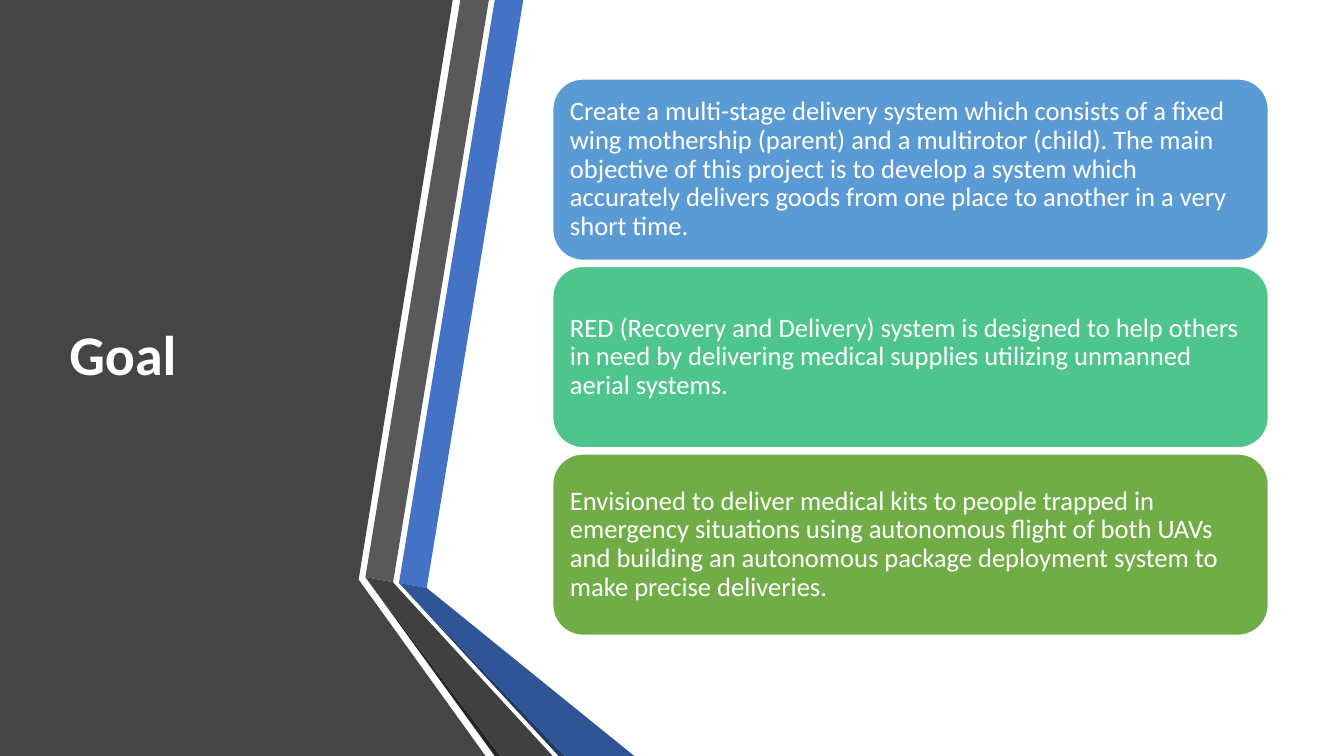
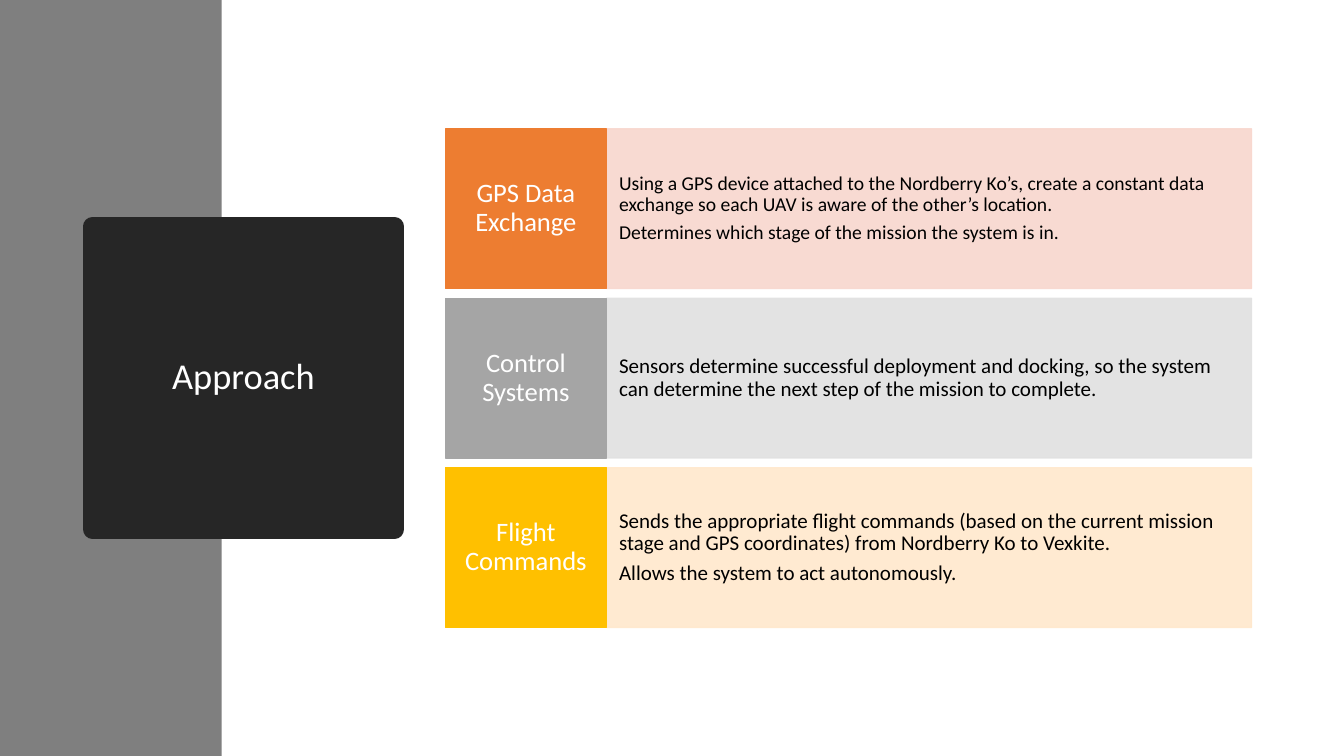
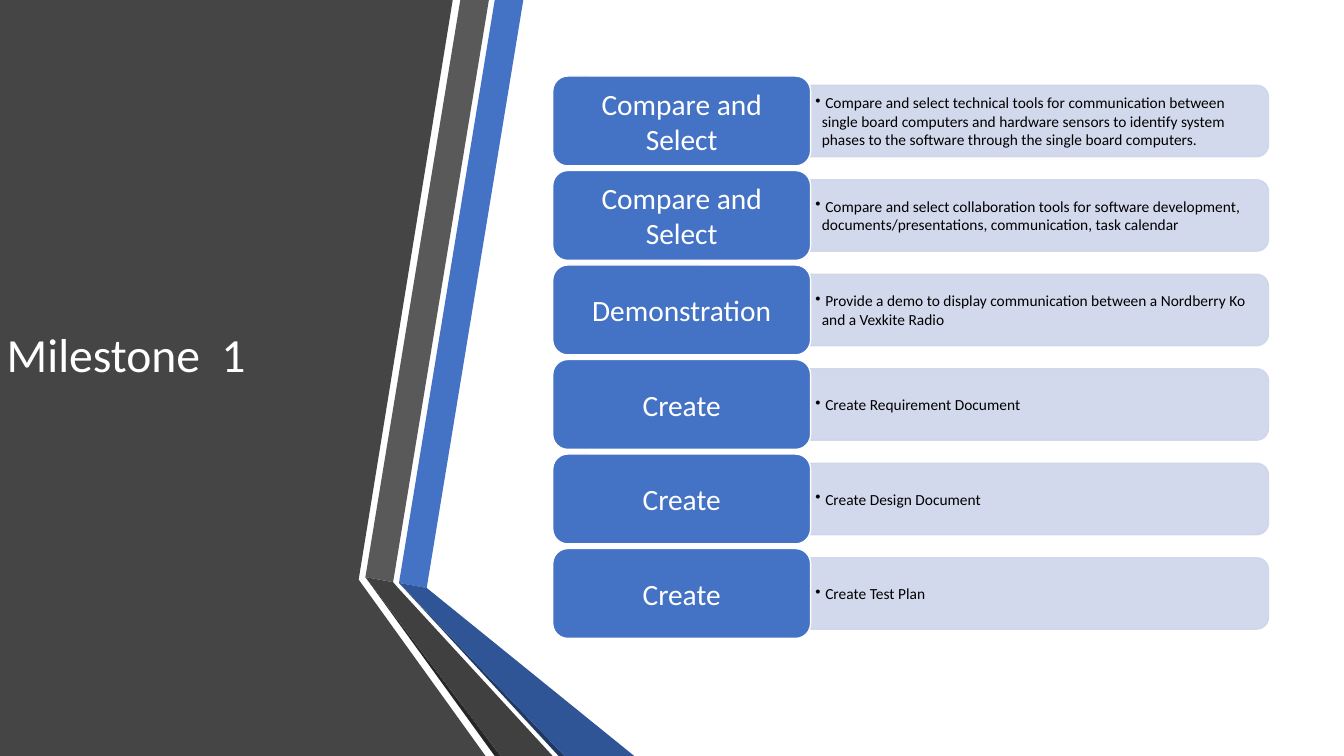
from dataclasses import dataclass

from lxml import etree
from pptx import Presentation
from pptx.dml.color import RGBColor
from pptx.enum.shapes import MSO_SHAPE
from pptx.enum.text import MSO_ANCHOR, PP_ALIGN
from pptx.oxml.ns import qn
from pptx.shapes.autoshape import Shape
from pptx.slide import Slide
from pptx.util import Inches, Pt

RECTANGLE = MSO_SHAPE.RECTANGLE
ROUNDED = MSO_SHAPE.ROUNDED_RECTANGLE
TOP_ROUNDED = MSO_SHAPE.ROUND_2_SAME_RECTANGLE
MIDDLE = MSO_ANCHOR.MIDDLE
LEFT, CENTER = PP_ALIGN.LEFT, PP_ALIGN.CENTER

# Slide grid: 160 columns by 90 rows of square cells
SLIDE_WIDTH, SLIDE_HEIGHT = Inches(13.33), Inches(7.5)
COLUMNS, ROWS = 160, 90
COLUMN, ROW = SLIDE_WIDTH / COLUMNS, SLIDE_HEIGHT / ROWS

# Colours
WHITE = RGBColor(0xFF, 0xFF, 0xFF)
BLACK = RGBColor(0x00, 0x00, 0x00)
PANEL_GRAY = RGBColor(0x45, 0x45, 0x45)
STRIPE_GRAY = RGBColor(0x59, 0x59, 0x59)
FOLD_GRAY = RGBColor(0x40, 0x40, 0x40)
NEAR_BLACK = RGBColor(0x26, 0x26, 0x26)
BAND_GRAY = RGBColor(0x7F, 0x7F, 0x7F)
BLUE = RGBColor(0x44, 0x72, 0xC4)
FOLD_BLUE = RGBColor(0x2F, 0x55, 0x97)
NAVY = RGBColor(0x20, 0x38, 0x64)
PALE_BLUE = RGBColor(0xCF, 0xD5, 0xEA)
SKY = RGBColor(0x5B, 0x9B, 0xD5)
MINT = RGBColor(0x4D, 0xC5, 0x8D)
GREEN = RGBColor(0x70, 0xAD, 0x47)
ORANGE = RGBColor(0xED, 0x7D, 0x31)
PALE_ORANGE = RGBColor(0xF8, 0xD7, 0xCE)
SILVER = RGBColor(0xA5, 0xA5, 0xA5)
PALE_SILVER = RGBColor(0xE1, 0xE1, 0xE1)
GOLD = RGBColor(0xFF, 0xC0, 0x00)
PALE_GOLD = RGBColor(0xFF, 0xE8, 0xCC)

FONT = "Calibri"
BULLET_INDENT = Pt(4.5)
DETAIL_OPACITY = 90


@dataclass(frozen=True)
class Cell:
    """An area of the slide, in columns and rows."""
    left: float
    top: float
    width: float
    height: float

    def right_of(self, width: float, height: float) -> "Cell":
        """A vertically centred neighbour on the right."""
        top = self.top + (self.height - height) / 2
        return Cell(self.left + self.width, top, width, height)

    def below(self, index: int, pitch: float) -> "Cell":
        return Cell(self.left, self.top + index * pitch, self.width, self.height)


@dataclass(frozen=True)
class TextStyle:
    size: float
    color: RGBColor = WHITE
    align: PP_ALIGN = LEFT
    bold: bool = False
    line_spacing: float = 0.9
    inset_x: float = 6
    inset_y: float = 3
    bullet: bool = False


@dataclass(frozen=True)
class Facet:
    color: RGBColor
    points: tuple[tuple[float, float], ...]


@dataclass(frozen=True)
class GoalCard:
    color: RGBColor
    text: str


@dataclass(frozen=True)
class ApproachRow:
    color: RGBColor
    tint: RGBColor
    label: str
    size: float
    details: tuple[str, ...]


@dataclass(frozen=True)
class MilestoneRow:
    label: str
    detail: str


# Shared helpers
def place(cell: Cell) -> tuple[int, int, int, int]:
    return (round(cell.left * COLUMN), round(cell.top * ROW),
            round(cell.width * COLUMN), round(cell.height * ROW))


def write(shape: Shape, style: TextStyle, *lines: str) -> None:
    frame = shape.text_frame
    frame.word_wrap = True
    frame.vertical_anchor = MIDDLE
    frame.margin_left = frame.margin_right = Pt(style.inset_x)
    frame.margin_top = frame.margin_bottom = Pt(style.inset_y)
    frame.text = "\n".join(lines)
    for paragraph in frame.paragraphs:
        paragraph.alignment = style.align
        paragraph.line_spacing = style.line_spacing
        paragraph.space_after = Pt(round(style.size * 0.35))
        for run in paragraph.runs:
            run.font.name = FONT
            run.font.size = Pt(style.size)
            run.font.bold = style.bold
            run.font.color.rgb = style.color
        if style.bullet:
            properties = paragraph._p.get_or_add_pPr()
            properties.set("marL", str(BULLET_INDENT))
            properties.set("indent", str(-BULLET_INDENT))
            etree.SubElement(properties, qn("a:buChar"), char="•")


def add_text(slide: Slide, cell: Cell, style: TextStyle, *lines: str) -> None:
    write(slide.shapes.add_textbox(*place(cell)), style, *lines)


def add_block(slide: Slide, kind: MSO_SHAPE, cell: Cell, fill: RGBColor,
              outline: RGBColor, weight: float = 1, opacity: int = 100) -> Shape:
    block = slide.shapes.add_shape(kind, *place(cell))
    block.shadow.inherit = False
    block.fill.solid()
    block.fill.fore_color.rgb = fill
    block.line.color.rgb = outline
    block.line.width = Pt(weight)
    if opacity < 100:
        for color in block.element.spPr.iter(qn("a:srgbClr")):
            etree.SubElement(color, qn("a:alpha"), val=str(opacity * 1000))
    return block


# Folded side panel, shared by the goal and milestone slides
PANEL_FACETS = (
    Facet(PANEL_GRAY, ((0, 0), (53.9, 0), (42.7, 69), (57.8, 90), (0, 90))),
    Facet(BLUE, ((47.5, 69.4), (50.8, 70), (62.3, 0), (58.9, 0))),
    Facet(STRIPE_GRAY, ((58.2, 0), (54.8, 0), (43.5, 68.7), (46.8, 69.3))),
    Facet(NEAR_BLACK, ((43.5, 68.7), (58.9, 90), (59.6, 90))),
    Facet(NAVY, ((47.5, 69.4), (66.5, 90), (67.2, 90))),
    Facet(FOLD_BLUE, ((47.5, 69.4), (67.2, 90), (75.5, 90), (50.8, 70))),
    Facet(FOLD_GRAY, ((65.8, 90), (47.4, 70), (46.8, 69.3), (43.5, 68.7), (59.6, 90))),
)


def add_side_panel(slide: Slide, title: str, title_left: float, style: TextStyle) -> None:
    for facet in PANEL_FACETS:
        start, *rest = [(round(x * COLUMN), round(y * ROW)) for x, y in facet.points]
        builder = slide.shapes.build_freeform(*start)
        builder.add_line_segments(rest, close=True)
        shape = builder.convert_to_shape()
        shape.shadow.inherit = False
        shape.fill.solid()
        shape.fill.fore_color.rgb = facet.color
        shape.line.fill.background()
    add_text(slide, Cell(title_left, 9, 40, 67), style, title)


# Goal slide
GOAL_CELL = Cell(65.8, 9.4, 85.2, 21.6)
GOAL_PITCH = 22.32
GOAL_CARDS = (
    GoalCard(SKY, "Create a multi-stage delivery system which consists of a fixed wing "
                  "mothership (parent) and a multirotor (child).\u00a0The main objective of "
                  "this project is to develop a system which accurately delivers goods "
                  "from one place to another in a very short time."),
    GoalCard(MINT, "RED (Recovery and Delivery) system is designed to help others in need "
                   "by delivering medical supplies utilizing unmanned aerial systems."),
    GoalCard(GREEN, "Envisioned to deliver medical kits to people trapped in emergency "
                    "situations using autonomous flight of both UAVs and building an "
                    "autonomous package deployment system to make precise deliveries."),
)


def draw_goal(slide: Slide) -> None:
    add_side_panel(slide, "Goal", 8.25, TextStyle(40, bold=True, inset_x=0))
    for index, card in enumerate(GOAL_CARDS):
        cell = GOAL_CELL.below(index, GOAL_PITCH)
        block = add_block(slide, ROUNDED, cell, card.color, WHITE)
        write(block, TextStyle(19), card.text)


# Approach slide
BAND_CELL = Cell(0, 0, 26.4, ROWS)
APPROACH_TITLE_CELL = Cell(11, 27, 36, 36)
APPROACH_LABEL_CELL = Cell(53, 15.35, 19.2, 19)
APPROACH_DETAIL_WIDTH = 76.8
APPROACH_PITCH = 20.17
APPROACH_ROWS = (
    ApproachRow(ORANGE, PALE_ORANGE, "GPS Data Exchange", 14, (
        "Using a GPS device attached to the Nordberry Ko’s, create a constant data "
        "exchange so each UAV is aware of the other’s location.",
        "Determines which stage of the mission the system is in.")),
    ApproachRow(SILVER, PALE_SILVER, "Control Systems", 15, (
        "Sensors determine successful deployment and docking, so the system can "
        "determine the next step of the mission to complete.",)),
    ApproachRow(GOLD, PALE_GOLD, "Flight Commands", 15, (
        "Sends the appropriate flight commands (based on the current mission stage "
        "and GPS coordinates) from Nordberry Ko to Vexkite.",
        "Allows the system to act autonomously.")),
)


def draw_approach(slide: Slide) -> None:
    band = add_block(slide, RECTANGLE, BAND_CELL, BAND_GRAY, BAND_GRAY)
    band.line.fill.background()
    title = add_block(slide, RECTANGLE, APPROACH_TITLE_CELL, NEAR_BLACK, NEAR_BLACK, 13.75)
    write(title, TextStyle(26, align=CENTER), "Approach")
    for index, row in enumerate(APPROACH_ROWS):
        label_cell = APPROACH_LABEL_CELL.below(index, APPROACH_PITCH)
        detail_cell = label_cell.right_of(APPROACH_DETAIL_WIDTH, label_cell.height)
        detail = add_block(slide, RECTANGLE, detail_cell, row.tint, row.tint,
                           opacity=DETAIL_OPACITY)
        write(detail, TextStyle(row.size, BLACK, inset_x=9), *row.details)
        label = add_block(slide, RECTANGLE, label_cell, row.color, row.color)
        write(label, TextStyle(19, align=CENTER), row.label)


# Milestone slide
MILESTONE_LABEL_CELL = Cell(65.8, 9.05, 30.7, 10.7)
MILESTONE_DETAIL_WIDTH, MILESTONE_DETAIL_HEIGHT = 54.5, 8.5
MILESTONE_TEXT_WIDTH, MILESTONE_TEXT_HEIGHT = 54.1, 7.7
MILESTONE_PITCH = 11.25
MILESTONE_ROWS = (
    MilestoneRow("Compare and Select",
                 "Compare and select technical tools for communication between single "
                 "board computers and hardware sensors to identify system phases to the "
                 "software through the single board computers."),
    MilestoneRow("Compare and Select",
                 "Compare and select collaboration tools for software development, "
                 "documents/presentations, communication, task calendar"),
    MilestoneRow("Demonstration",
                 "Provide a demo to display communication between a Nordberry Ko and a "
                 "Vexkite Radio"),
    MilestoneRow("Create", "Create Requirement Document"),
    MilestoneRow("Create", "Create Design Document"),
    MilestoneRow("Create", "Create Test Plan"),
)
MILESTONE_LABEL_STYLE = TextStyle(21, align=CENTER, line_spacing=1.0)
MILESTONE_DETAIL_STYLE = TextStyle(11, BLACK, line_spacing=1.0, inset_x=3.5,
                                   inset_y=1.5, bullet=True)


def quarter_turned(cell: Cell) -> Cell:
    """The unrotated frame that covers the cell after a quarter turn."""
    shift = (cell.width - cell.height) / 2
    return Cell(cell.left + shift, cell.top - shift, cell.height, cell.width)


def draw_milestone(slide: Slide) -> None:
    add_side_panel(slide, "Milestone  1", 0.8, TextStyle(34, inset_x=0))
    for index, row in enumerate(MILESTONE_ROWS):
        label_cell = MILESTONE_LABEL_CELL.below(index, MILESTONE_PITCH)
        detail_cell = label_cell.right_of(MILESTONE_DETAIL_WIDTH, MILESTONE_DETAIL_HEIGHT)
        detail = add_block(slide, TOP_ROUNDED, quarter_turned(detail_cell), PALE_BLUE,
                           PALE_BLUE, opacity=DETAIL_OPACITY)
        detail.rotation = 90
        text_cell = label_cell.right_of(MILESTONE_TEXT_WIDTH, MILESTONE_TEXT_HEIGHT)
        add_text(slide, text_cell, MILESTONE_DETAIL_STYLE, f" {row.detail}")
        label = add_block(slide, ROUNDED, label_cell, BLUE, WHITE)
        write(label, MILESTONE_LABEL_STYLE, row.label)


# Build the presentation
presentation = Presentation()
presentation.slide_width, presentation.slide_height = SLIDE_WIDTH, SLIDE_HEIGHT
blank_layout = presentation.slide_layouts[6]
for draw in (draw_goal, draw_approach, draw_milestone):
    draw(presentation.slides.add_slide(blank_layout))
presentation.save("out.pptx")
